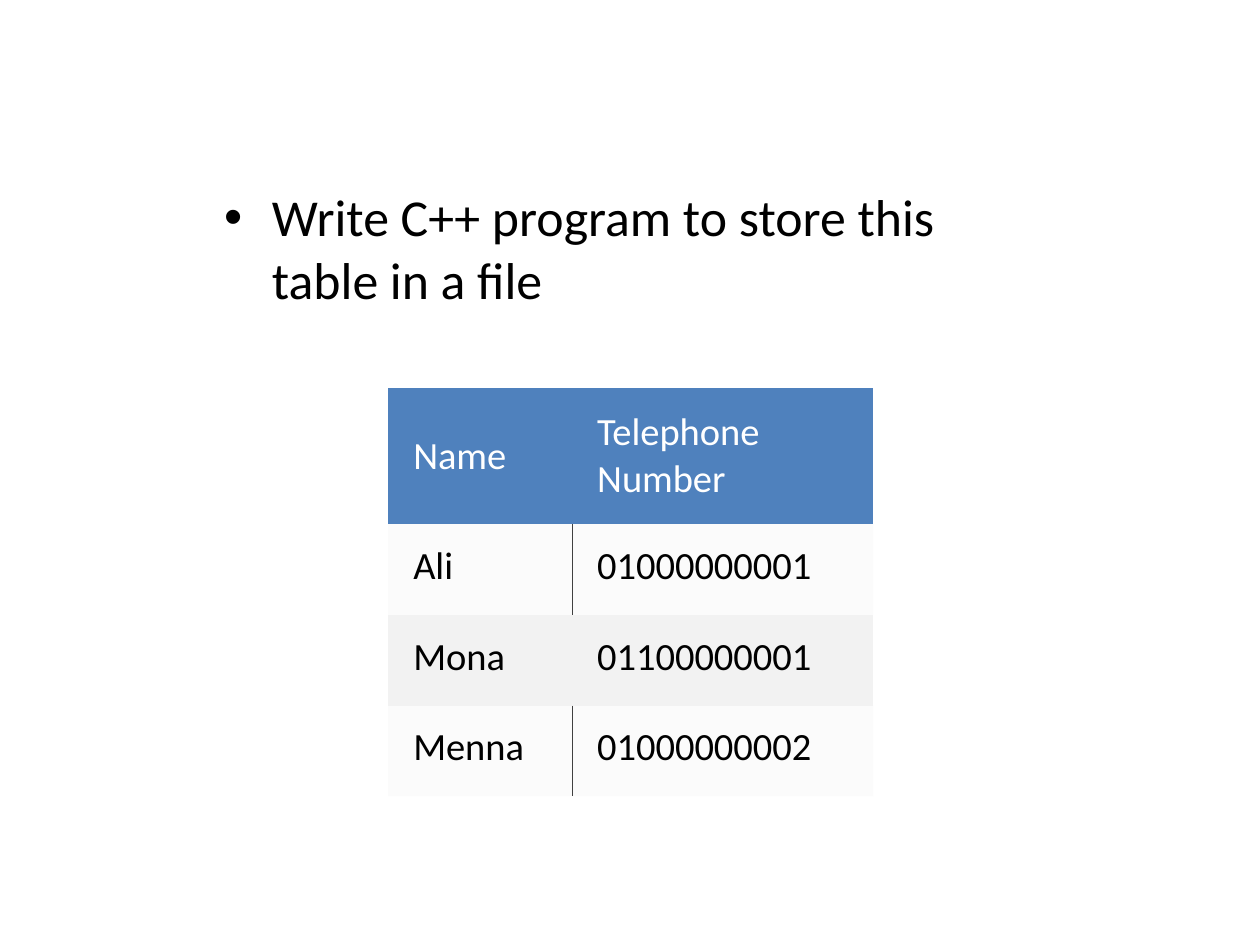
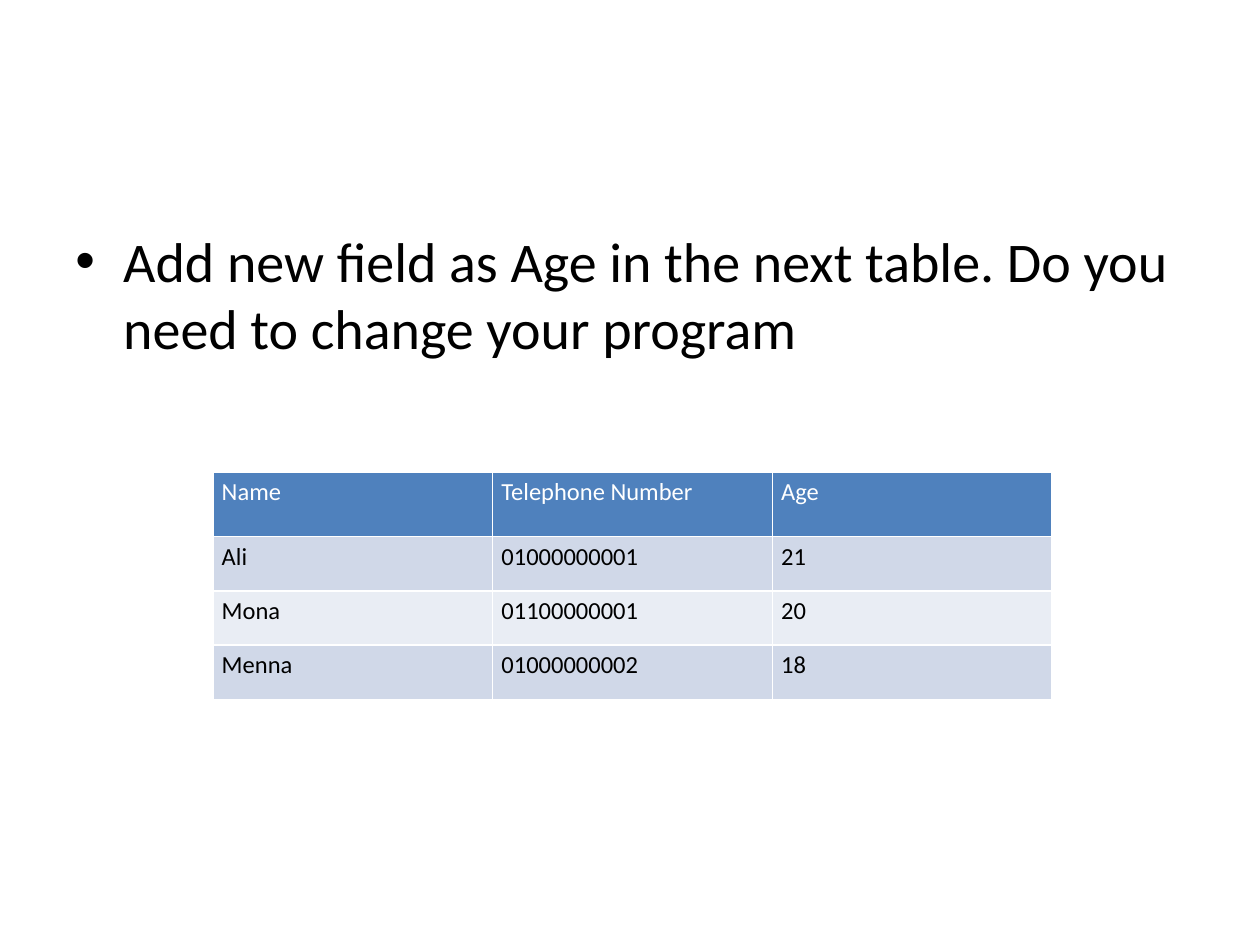
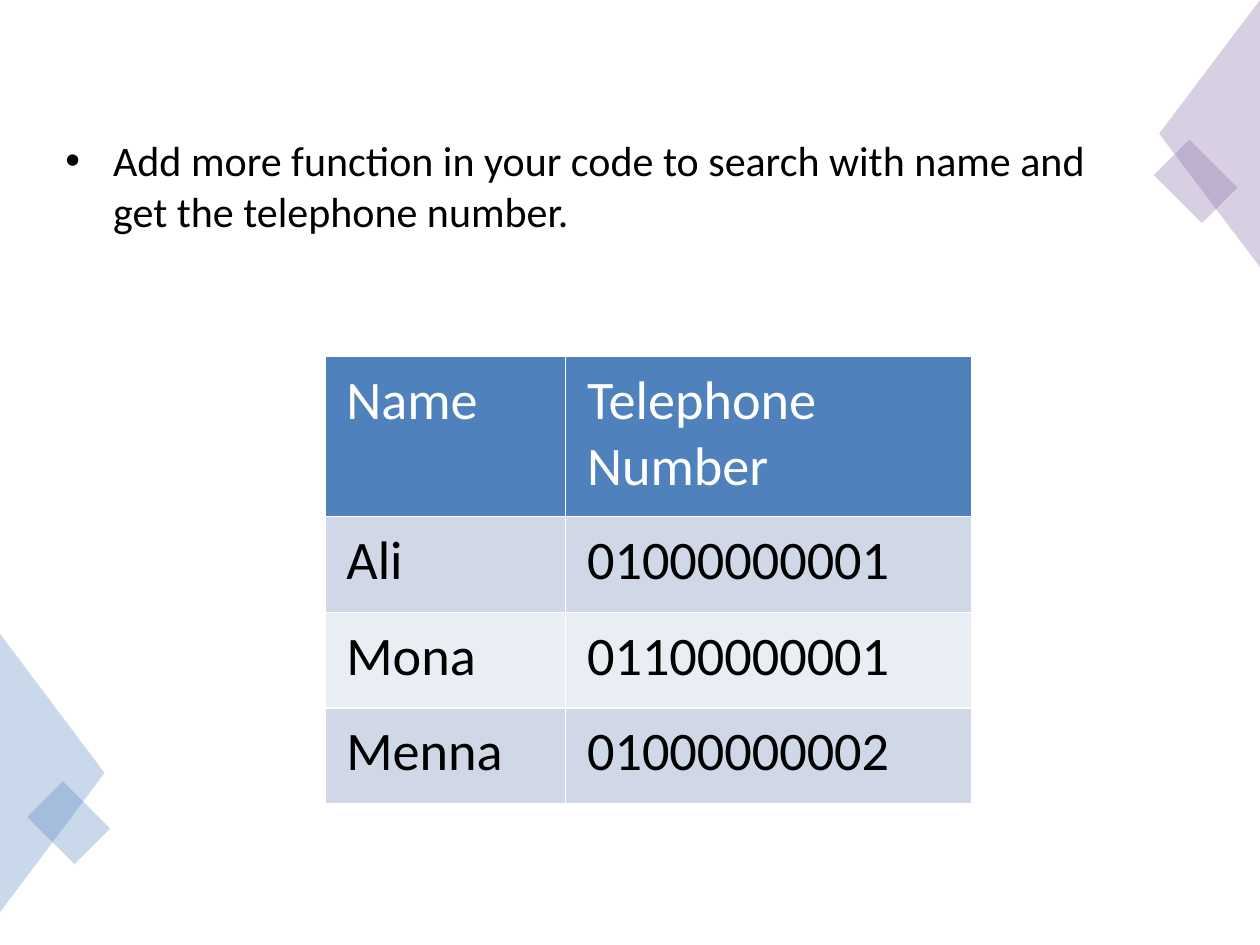
from lxml.etree import SubElement
from pptx import Presentation
from pptx.dml.color import RGBColor
from pptx.enum.shapes import MSO_SHAPE as Shape
from pptx.enum.text import MSO_ANCHOR as Anchor
from pptx.oxml.ns import qn
from pptx.util import Inches, Pt

FONT = "Calibri"
BLACK = RGBColor(0x00, 0x00, 0x00)
WHITE = RGBColor(0xFF, 0xFF, 0xFF)
BLUE = RGBColor(0x4F, 0x81, 0xBD)
PURPLE = RGBColor(0x80, 0x64, 0xA2)
GRAY = RGBColor(0xF2, 0xF2, 0xF2)
RULE = RGBColor(0x40, 0x40, 0x40)
DARK_BAND = RGBColor(0xD0, 0xD8, 0xE8)
LIGHT_BAND = RGBColor(0xE9, 0xED, 0xF4)
PLAIN_TABLE_STYLE = "{2D5ABB26-0587-4C30-8999-92F81FD0307C}"

PHONE_BOOK = [
    ["Name", "Telephone Number"],
    ["Ali", "01000000001"],
    ["Mona", "01100000001"],
    ["Menna", "01000000002"],
]
AGES = ["Age", "21", "20", "18"]
BLUE_BANDS = [(DARK_BAND, 100), (LIGHT_BAND, 100)]

# Boxes are left, top, width, height; insets are left, top, right, bottom.
TASKS = [
    dict(
        task="Write C++ program to store this table in a file",
        task_box=(1.68, 1.42, 6.19, 1.05), task_size=29.6,
        rows=PHONE_BOOK, corner=(3.08, 3.08), widths=[1.46, 2.39],
        header_height=1.08, row_height=0.72, size=22,
        insets=(0.2, 0.15, 0.15, 0.15), header_anchor=Anchor.MIDDLE,
        bands=[(GRAY, 30), (GRAY, 100)], grid=False,
    ),
    dict(
        task="Add new field as Age in the next table. Do you need to change your program",
        task_box=(0.5, 1.75, 9, 4.95), task_size=32,
        rows=[row + [age] for row, age in zip(PHONE_BOOK, AGES)],
        corner=(1.69, 3.75), widths=[2.22] * 3,
        header_height=0.51, row_height=0.43, size=14,
        insets=(0.07, 0.04, 0.07, 0.04), header_anchor=Anchor.TOP,
        bands=BLUE_BANDS, grid=True,
    ),
    dict(
        task="Add more function in your code to search with name and get the telephone number.",
        task_box=(0.42, 1.02, 8.67, 1), task_size=24,
        rows=PHONE_BOOK, corner=(2.58, 2.83), widths=[1.91, 3.22],
        header_height=1.27, row_height=0.76, size=31,
        insets=(0.17, 0.09, 0.17, 0.09), header_anchor=Anchor.TOP,
        bands=BLUE_BANDS, grid=True,
    ),
]
CORNER_ORNAMENTS = [
    (BLUE, [(Shape.ISOSCELES_TRIANGLE, (-0.69, 5.72, 2.21, 0.83), 90),
            (Shape.RECTANGLE, (0.28, 6.33, 0.53, 0.4), 45)]),
    (PURPLE, [(Shape.RECTANGLE, (9.22, 1.24, 0.54, 0.4), 45),
              (Shape.ISOSCELES_TRIANGLE, (8.54, 0.66, 2.12, 0.8), 270)]),
]


def set_fill(fill, color, opacity=100):
    """Fill with a solid colour; opacity is in percent."""
    fill.solid()
    fill.fore_color.rgb = color
    if opacity < 100:
        color_element = fill._xPr.find(qn("a:solidFill"))[0]
        SubElement(color_element, qn("a:alpha"), val=str(opacity * 1000))


def add_text(paragraph, text, size, color):
    run = paragraph.add_run()
    run.text = text
    run.font.name = FONT
    run.font.size = Pt(size)
    run.font.color.rgb = color


presentation = Presentation()
presentation.slide_width = Inches(10)
presentation.slide_height = Inches(7.5)

for task in TASKS:
    slide = presentation.slides.add_slide(presentation.slide_layouts[6])

    # Task statement
    text_box = slide.shapes.add_textbox(*map(Inches, task["task_box"]))
    text_box.text_frame.word_wrap = True
    paragraph = text_box.text_frame.paragraphs[0]
    properties = paragraph._p.get_or_add_pPr()
    properties.set("marL", str(Inches(0.38)))
    properties.set("indent", str(Inches(-0.38)))
    SubElement(properties, qn("a:buFont"), typeface="Arial")
    SubElement(properties, qn("a:buChar"), char="•")
    add_text(paragraph, task["task"], task["task_size"], BLACK)

    # Phone book
    rows, widths = task["rows"], task["widths"]
    heights = [task["header_height"]] + [task["row_height"]] * (len(rows) - 1)
    frame = slide.shapes.add_table(
        len(rows), len(widths), *map(Inches, task["corner"]),
        Inches(sum(widths)), Inches(sum(heights)))
    table = frame.table
    table._tbl.tblPr.find(qn("a:tableStyleId")).text = PLAIN_TABLE_STYLE
    for column, width in zip(table.columns, widths):
        column.width = Inches(width)

    for row_index, (row, height) in enumerate(zip(rows, heights)):
        table.rows[row_index].height = Inches(height)
        is_header = row_index == 0
        for column_index, text in enumerate(row):
            cell = table.cell(row_index, column_index)
            (cell.margin_left, cell.margin_top,
             cell.margin_right, cell.margin_bottom) = map(Inches, task["insets"])
            cell.vertical_anchor = task["header_anchor"] if is_header else Anchor.TOP
            add_text(cell.text_frame.paragraphs[0], text, task["size"],
                     WHITE if is_header else BLACK)

            if task["grid"]:
                sides, line_color, line_width = "LRTB", WHITE, 1
            else:
                inner_side = "R" if column_index == 0 else "L"
                sides = inner_side if row_index % 2 else ""
                line_color, line_width = RULE, 0.5
            for side in sides:
                line = SubElement(cell._tc.get_or_add_tcPr(), qn(f"a:ln{side}"),
                                  w=str(Pt(line_width)))
                solid = SubElement(line, qn("a:solidFill"))
                SubElement(solid, qn("a:srgbClr"), val=str(line_color))

            band = (BLUE, 100) if is_header else task["bands"][(row_index - 1) % 2]
            set_fill(cell.fill, *band)

# Corner ornaments on the last slide
for color, pieces in CORNER_ORNAMENTS:
    group = slide.shapes.add_group_shape()
    for preset, box, rotation in pieces:
        shape = group.shapes.add_shape(preset, *map(Inches, box))
        shape.rotation = rotation
        shape.shadow.inherit = False
        shape.line.fill.background()
        set_fill(shape.fill, color, 30)

presentation.save("out.pptx")
